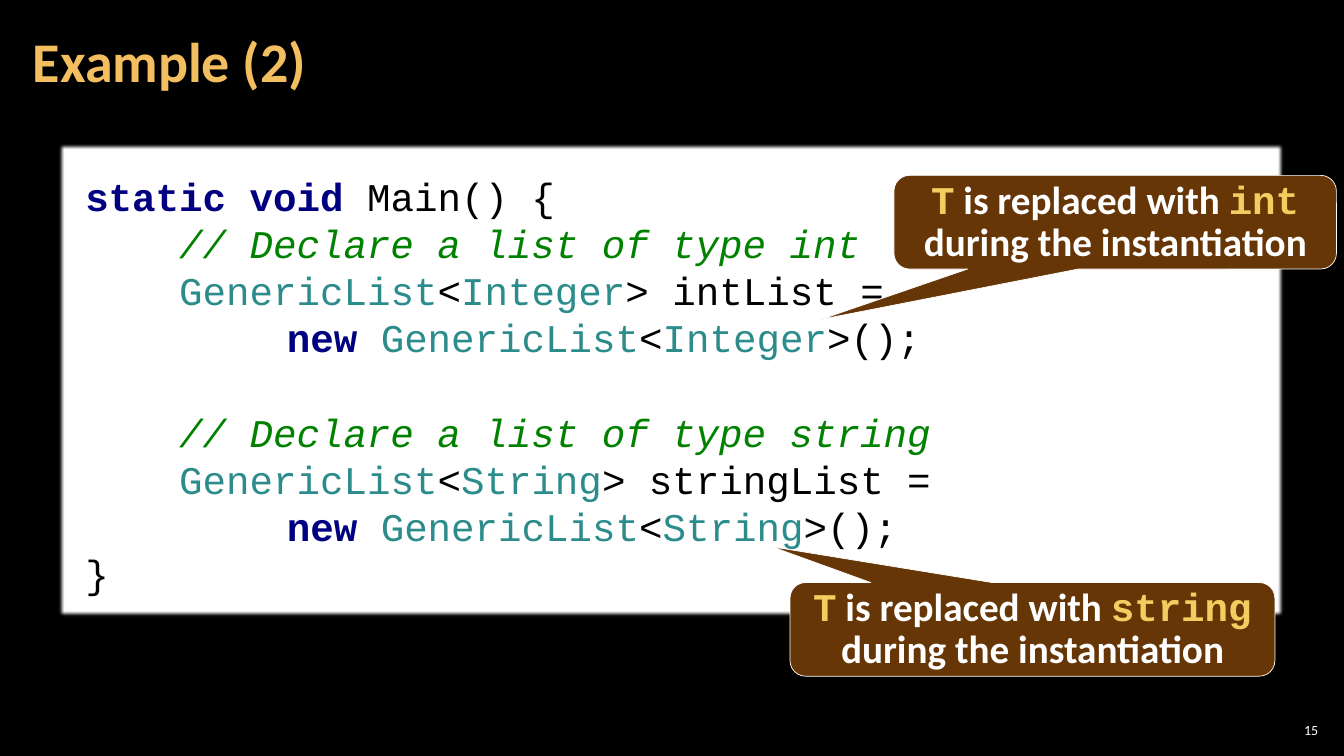
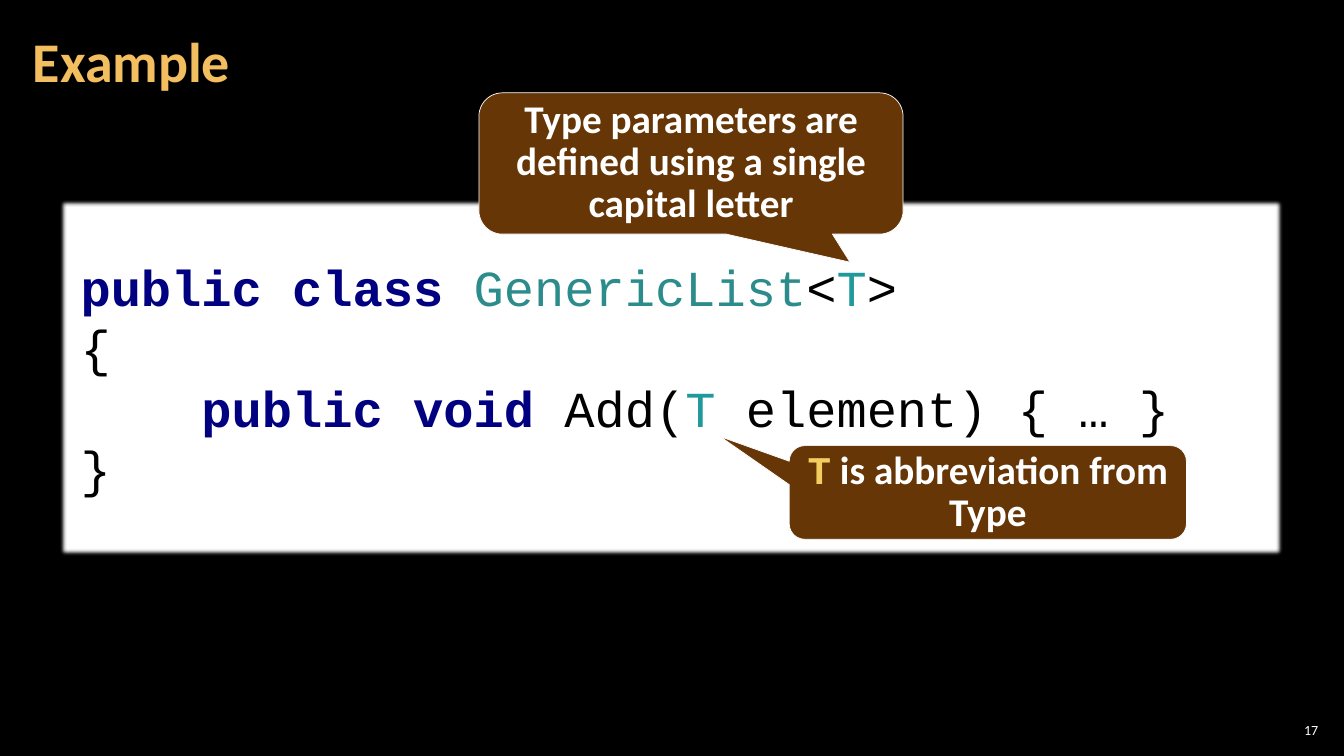
"""Build two slides that explain generic classes with annotated code."""
from lxml.etree import SubElement
from pptx import Presentation
from pptx.dml.color import RGBColor
from pptx.enum.shapes import MSO_SHAPE
from pptx.enum.text import MSO_ANCHOR, PP_ALIGN
from pptx.oxml.ns import qn
from pptx.util import Cm, Pt

COLORS = {
    "background": "000000",
    "white": "FFFFFF",
    "title": "F3BE60",
    "callout": "663606",
    "accent": "F3CD60",
    "keyword": "000080",
    "comment": "008200",
    "type": "2C8C8C",
    "param": "20999D",
    "code": "000000",
}
BODY, MONO = "Calibri", "Courier New"
CODE_STYLES = {
    "keyword": {"color": "keyword", "bold": True},
    "comment": {"color": "comment", "italic": True},
    "type": {"color": "type"},
    "param": {"color": "param"},
    "code": {"color": "code"},
}


def rgb(name):
    return RGBColor.from_string(COLORS[name])


def add_run(p, text, font=BODY, size=28, color="white", bold=False, italic=False):
    r = p.add_run()
    r.text = text
    r.font.name, r.font.size = font, Pt(size)
    r.font.bold, r.font.italic = bold, italic
    r.font.color.rgb = rgb(color)


def set_frame(tf, anchor, side, top):
    tf.word_wrap = True
    tf.vertical_anchor = anchor
    tf.margin_left = tf.margin_right = Cm(side)
    tf.margin_top = tf.margin_bottom = Cm(top)
    return tf


def add_box(s, box, anchor=MSO_ANCHOR.MIDDLE, side=0.1, top=0.1):
    sp = s.shapes.add_textbox(*map(Cm, box))
    return set_frame(sp.text_frame, anchor, side, top)


def add_shape(s, kind, box, fill):
    sp = s.shapes.add_shape(kind, *map(Cm, box))
    sp.shadow.inherit = False
    sp.fill.solid()
    sp.fill.fore_color.rgb = rgb(fill)
    return sp


def add_slide(prs, title, number):
    s = prs.slides.add_slide(prs.slide_layouts[6])
    s.background.fill.solid()
    s.background.fill.fore_color.rgb = rgb("background")
    p = add_box(s, (32.13, 18.14, 1.19, 0.53)).paragraphs[0]
    p.alignment = PP_ALIGN.RIGHT
    add_run(p, str(number), size=10)
    p = add_box(s, (0.53, 0.1, 26.59, 3.07), side=0.3).paragraphs[0]
    p.line_spacing = 0.9
    add_run(p, title, size=40, color="title", bold=True)
    return s


def add_panel(s, box):
    sp = add_shape(s, MSO_SHAPE.RECTANGLE, box, "white")
    sp.line.fill.background()
    effects = sp._element.spPr.find(qn("a:effectLst"))
    SubElement(effects, qn("a:softEdge"), rad=str(Pt(2.5)))


def add_code(s, box, lines, size, gap_before=None, indented=()):
    tf = add_box(s, box, MSO_ANCHOR.TOP, 0.25, 0.13)
    for i, line in enumerate(lines):
        p = tf.add_paragraph() if i else tf.paragraphs[0]
        if i == gap_before:
            p.space_before = Pt(1.2 * size)
        if i in indented:
            p._p.get_or_add_pPr().set("marL", str(Cm(5.08)))
        for text, style in line:
            add_run(p, text, font=MONO, size=size, **CODE_STYLES[style])


def add_callout(s, box, tip, parts):
    sp = add_shape(s, MSO_SHAPE.ROUNDED_RECTANGULAR_CALLOUT, box, "callout")
    sp.line.color.rgb = rgb("white")
    sp.line.width = Pt(0.5)
    sp.adjustments[0], sp.adjustments[1] = tip
    p = set_frame(sp.text_frame, MSO_ANCHOR.TOP, 0.2, 0).paragraphs[0]
    p.alignment = PP_ALIGN.CENTER
    p.line_spacing = Pt(30)
    for text, is_code in parts:
        look = {"font": MONO, "color": "accent"} if is_code else {}
        add_run(p, text, bold=True, **look)


def list_declaration(kind, name):
    generic = [("GenericList", "type"), ("<", "code"), (kind, "type")]
    return [
        [("    ", "code"), *generic, (f"> {name} =", "code")],
        [("new ", "keyword"), *generic, (">();", "code")],
    ]


def add_instantiation_slide(prs):
    s = add_slide(prs, "Example (2)", 15)
    add_panel(s, (1.47, 3.61, 30.91, 11.96))
    lines = [
        [("static void ", "keyword"), ("Main() {", "code")],
        [("    // Declare a list of type int", "comment")],
        *list_declaration("Integer", "intList"),
        [("    // Declare a list of type string", "comment")],
        *list_declaration("String", "stringList"),
        [("}", "code")],
    ]
    add_code(s, (1.9, 4.22, 28.55, 11.02), lines, 28, gap_before=4, indented=(3, 6))
    for box, tip, kind in (
        ((22.53, 4.42, 11.15, 2.36), (-0.665, 1.038), "int"),
        ((19.91, 14.68, 12.22, 2.36), (-0.537, -0.882), "string"),
    ):
        add_callout(s, box, tip, [
            ("T", True), (" is replaced with ", False),
            (kind, True), (" during the instantiation", False),
        ])


def add_definition_slide(prs):
    s = add_slide(prs, "Example", 17)
    add_panel(s, (1.5, 5.03, 30.84, 8.99))
    lines = [
        [("public class ", "keyword"), ("GenericList", "type"),
         ("<", "code"), ("T", "param"), (">", "code")],
        [("{", "code")],
        [("    public void ", "keyword"), ("Add(", "code"),
         ("T ", "param"), ("element) { … }", "code")],
        [("}", "code")],
    ]
    add_code(s, (1.78, 6.32, 31.24, 6.4), lines, 36)
    add_callout(s, (12.07, 2.34, 10.69, 3.56), (0.375, 0.699), [
        ("Type parameters are defined using a single capital letter", False),
    ])
    add_callout(s, (19.89, 11.23, 10.01, 2.36), (-0.674, -0.597), [
        ("T", True), (" is abbreviation from Type", False),
    ])


def main():
    prs = Presentation()
    prs.slide_width, prs.slide_height = Cm(33.87), Cm(19.05)
    add_instantiation_slide(prs)
    add_definition_slide(prs)
    prs.save("out.pptx")


if __name__ == "__main__":
    main()
